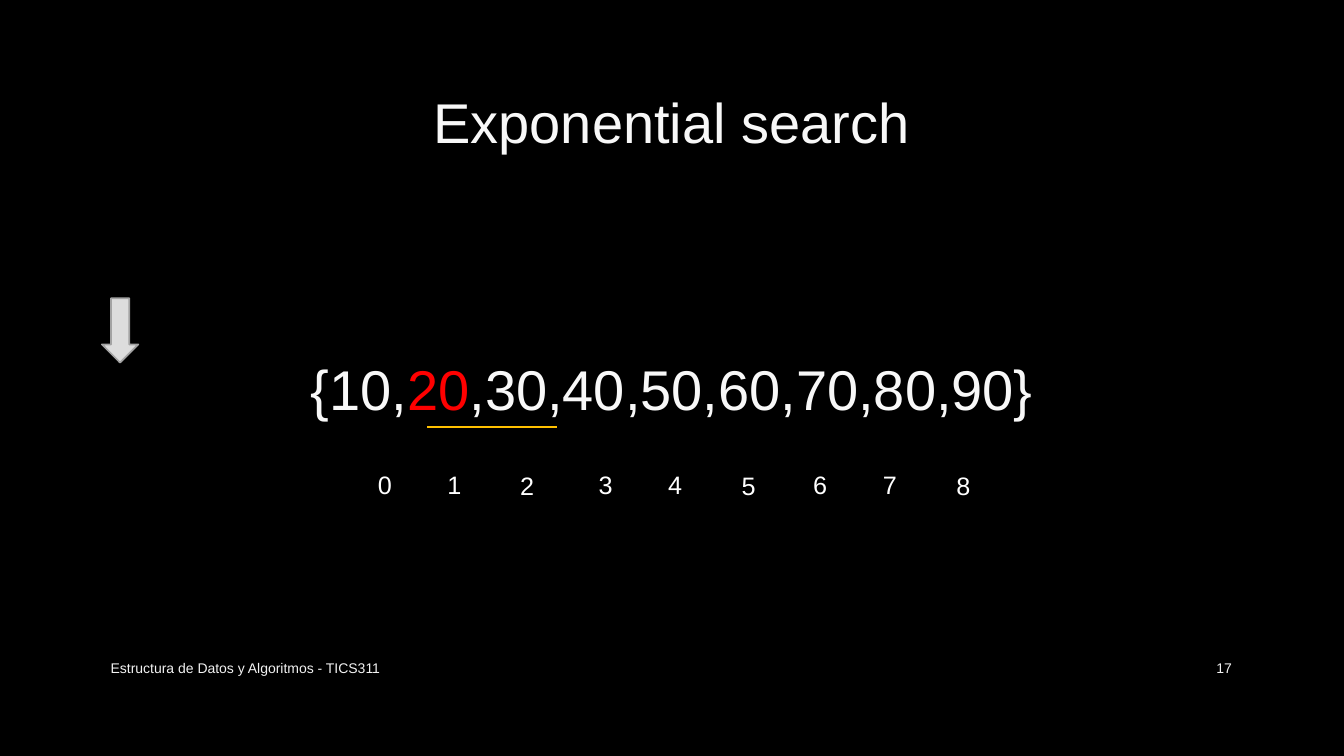
from pptx import Presentation
from pptx.dml.color import RGBColor
from pptx.enum.shapes import MSO_CONNECTOR as Connector, MSO_SHAPE as Shape
from pptx.enum.text import MSO_ANCHOR as Anchor, MSO_AUTO_SIZE as AutoSize, PP_ALIGN as Align
from pptx.oxml.ns import qn
from pptx.util import Pt
from lxml import etree


def color(value):
    return RGBColor.from_string(value)


def write(shape, pieces, size, align=Align.LEFT, anchor=Anchor.MIDDLE, wrap=True):
    frame = shape.text_frame
    frame.word_wrap = wrap
    frame.auto_size = AutoSize.NONE if wrap else AutoSize.SHAPE_TO_FIT_TEXT
    frame.vertical_anchor = anchor
    paragraph = frame.paragraphs[0]
    paragraph.alignment = align
    for text, shade in pieces:
        run = paragraph.add_run()
        run.text = text
        run.font.name = "Arial"
        run.font.size = Pt(size)
        run.font.color.rgb = color(shade)


WHITE, PALE, FOOTER = "FFFFFF", "F8F8F8", "F2F2F2"

presentation = Presentation()
presentation.slide_width, presentation.slide_height = Pt(960), Pt(540)
slide = presentation.slides.add_slide(presentation.slide_layouts[5])
slide.background.fill.solid()
slide.background.fill.fore_color.rgb = color("000000")

title = slide.shapes.title
title.left, title.top, title.width, title.height = Pt(72), Pt(48.2), Pt(815), Pt(76.3)
write(title, [("Exponential search", PALE)], 40, Align.CENTER)

course = slide.shapes.add_textbox(Pt(72), Pt(463), Pt(525.6), Pt(28.8))
write(course, [("Estructura de Datos y Algoritmos - TICS311", FOOTER)], 10)
page_number = slide.shapes.add_textbox(Pt(828), Pt(463), Pt(59), Pt(28.8))
write(page_number, [("17", FOOTER)], 10, Align.RIGHT)

arrow = slide.shapes.add_shape(Shape.DOWN_ARROW, Pt(72.8), Pt(213), Pt(26), Pt(46))
arrow.shadow.inherit = False
arrow.fill.solid()
arrow.fill.fore_color.rgb = color("DDDDDD")
arrow.line.color.rgb = color("A3A3A3")
arrow.line.width = Pt(1.25)

sequence = slide.shapes.add_textbox(Pt(102.2), Pt(177.8), Pt(755.3), Pt(126.7))
write(
    sequence,
    [("{10,", PALE), ("20", "FF0000"), (",30,40,50,60,70,80,90}", PALE)],
    40, Align.CENTER, Anchor.BOTTOM,
)

underline = slide.shapes.add_connector(Connector.STRAIGHT, Pt(305.2), Pt(304.8), Pt(397.6), Pt(304.8))
underline.line.color.rgb = color("FFC000")
underline.line.width = Pt(1.25)
etree.SubElement(underline._element.spPr, qn("a:effectLst"))

index_lefts = [262.8, 312.5, 364.4, 420.5, 470.2, 522.7, 573.8, 623.5, 676.1]
for index, left in enumerate(index_lefts):
    top = 332.6 if index % 3 == 2 else 332
    label = slide.shapes.add_textbox(Pt(left), Pt(top), Pt(23.8), Pt(28.8))
    write(label, [(str(index), WHITE)], 18, anchor=Anchor.TOP, wrap=False)

presentation.save("out.pptx")
